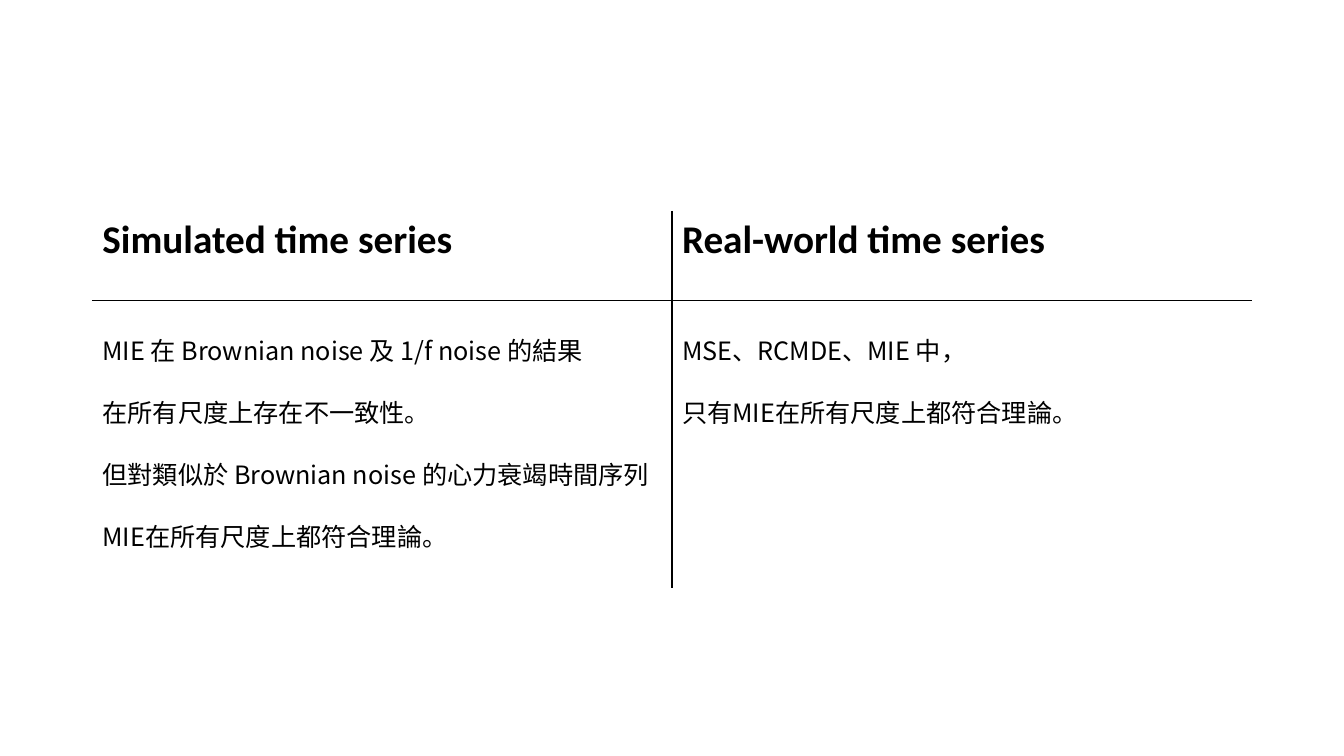
from lxml.etree import SubElement
from pptx import Presentation
from pptx.dml.color import RGBColor
from pptx.oxml.ns import qn
from pptx.util import Pt

COLOURS = {"ink": "000000"}
HEADER = {"name": "Calibri", "size": Pt(28), "bold": True}
BODY = {"name": "Noto Sans CJK SC", "size": Pt(18), "bold": False}
COLUMNS = [
    ("Simulated time series",
     ["MIE 在 Brownian noise 及 1/f noise 的結果",
      "在所有尺度上存在不一致性。",
      "但對類似於 Brownian noise 的心力衰竭時間序列MIE在所有尺度上都符合理論。"]),
    ("Real-world time series",
     ["MSE、RCMDE、MIE 中，",
      "只有MIE在所有尺度上都符合理論。"]),
]


def fill_cell(cell, lines, style, line_spacing):
    for index, line in enumerate(lines):
        frame = cell.text_frame
        para = frame.add_paragraph() if index else frame.paragraphs[0]
        para.line_spacing = line_spacing
        span = para.add_run()
        span.text = line
        for name, value in style.items():
            setattr(span.font, name, value)
        span.font.color.rgb = RGBColor.from_string(COLOURS["ink"])
        SubElement(span.font._element, qn("a:ea"), typeface=style["name"])


def draw_borders(cell, sides):
    properties = cell._tc.get_or_add_tcPr()
    for side in sides:
        border = SubElement(properties, qn(f"a:ln{side}"), w=str(Pt(1)))
        paint = SubElement(border, qn("a:solidFill"))
        SubElement(paint, qn("a:srgbClr"), val=COLOURS["ink"])


deck = Presentation()
deck.slide_width, deck.slide_height = Pt(960), Pt(540)
page = deck.slides.add_slide(deck.slide_layouts[6])

table = page.shapes.add_table(2, 2, Pt(66), Pt(151), Pt(828), Pt(269.5)).table
table.first_row = table.horz_banding = False
for row, height in zip(table.rows, (63.5, 206)):
    row.height = Pt(height)

for column, (heading, findings) in enumerate(COLUMNS):
    table.columns[column].width = Pt(414)
    inner_side = "LR"[1 - column]
    header, body = table.cell(0, column), table.cell(1, column)
    fill_cell(header, [heading], HEADER, 1)
    fill_cell(body, findings, BODY, 1.7)
    draw_borders(header, inner_side + "B")
    draw_borders(body, inner_side + "T")
    for cell in (header, body):
        cell.fill.background()

deck.save("out.pptx")
